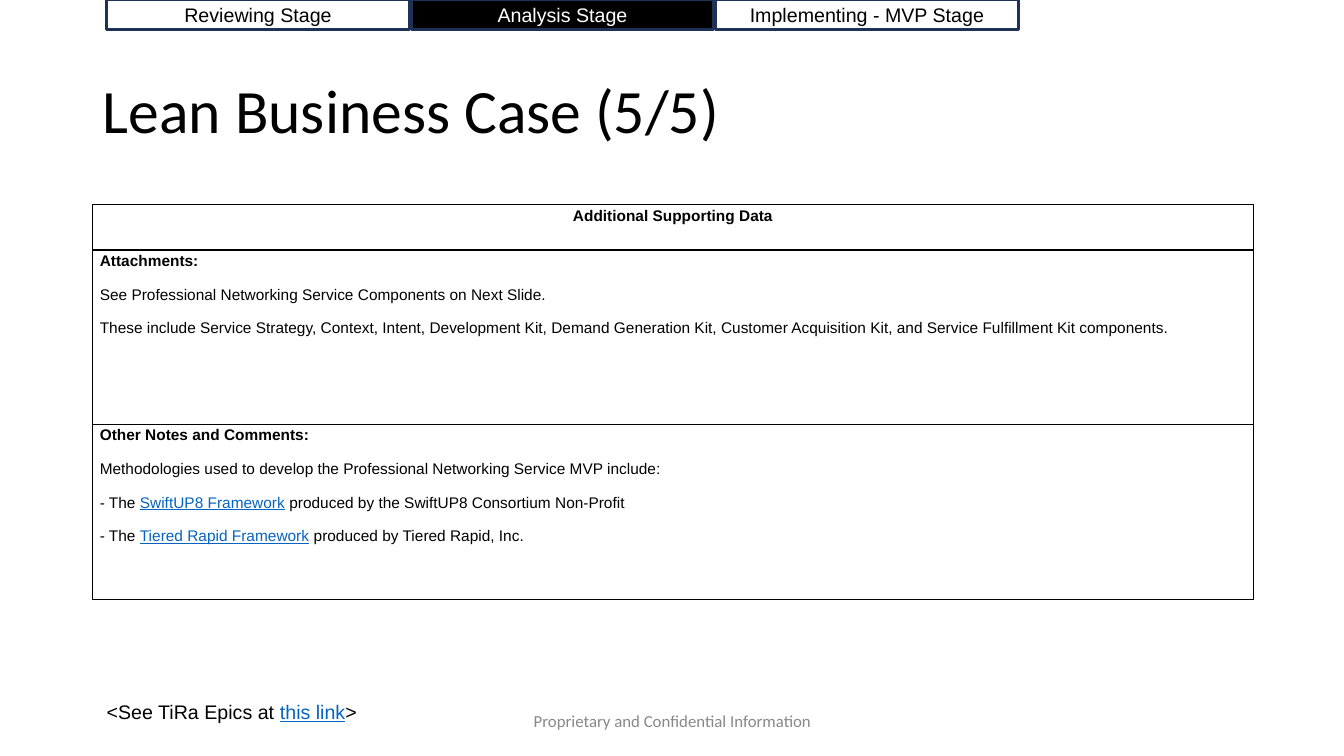
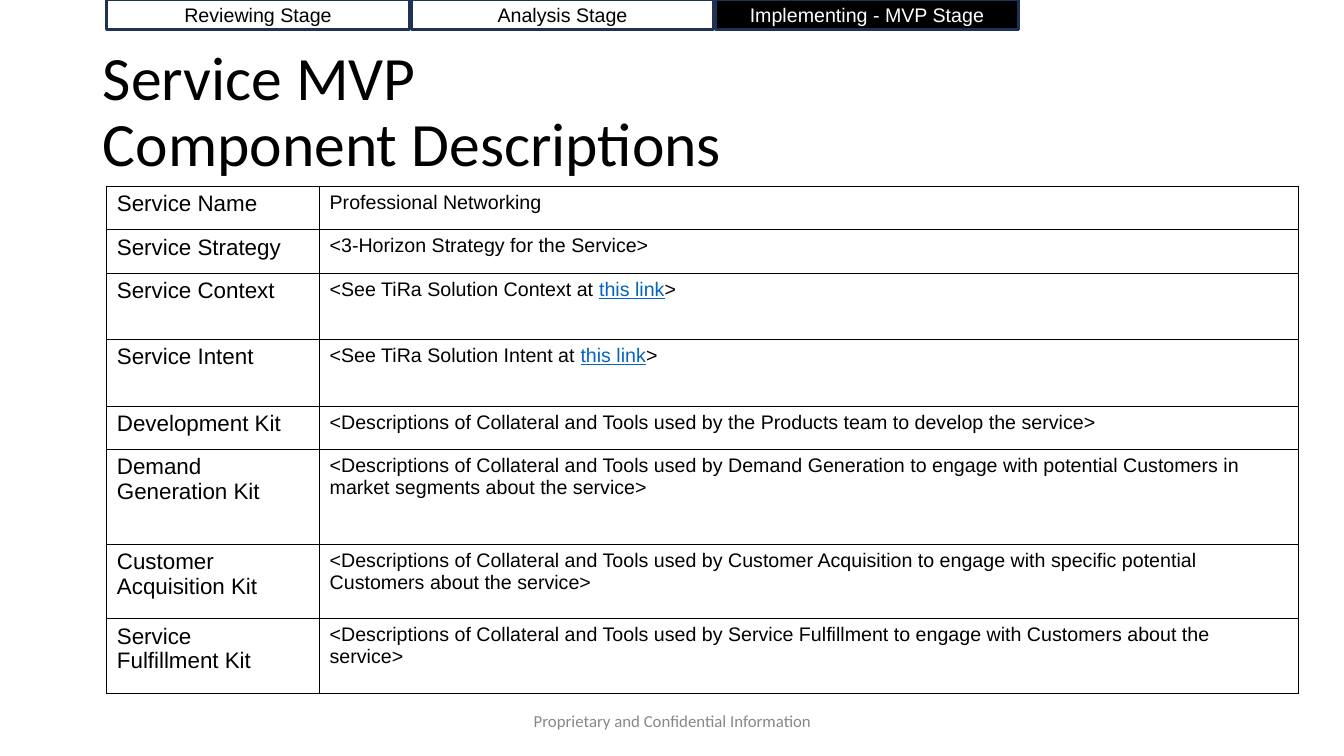
from dataclasses import dataclass

from lxml.etree import SubElement
from pptx import Presentation
from pptx.dml.color import RGBColor
from pptx.enum.shapes import MSO_SHAPE
from pptx.enum.text import MSO_ANCHOR, MSO_AUTO_SIZE, PP_ALIGN
from pptx.oxml import parse_xml
from pptx.oxml.ns import nsdecls, qn
from pptx.util import Emu, Pt

EMU_PER_PX = 9144  # 100 px to the inch
TITLE_ONLY = 5


@dataclass(frozen=True)
class Theme:
    body_font: str = "Arial"
    title_font: str = "Calibri"
    ink: str = "000000"
    paper: str = "FFFFFF"
    stage_line: str = "1E3256"
    link: str = "0563C1"
    footer: str = "888888"
    title_size: int = 44
    label_size: int = 16
    text_size: int = 14
    footer_size: int = 12
    note_size: int = 11


@dataclass(frozen=True)
class Box:
    left: int
    top: int
    width: int
    height: int

    def emu(self):
        return [px(n) for n in (self.left, self.top, self.width, self.height)]


THEME = Theme()
PAGE = Box(0, 0, 1333, 750)
STAGE_BAR = Box(106, 0, 904, 29)
STAGE_GAP = 2
TITLE = Box(92, 40, 979, 145)
FOOTER = Box(442, 695, 450, 40)
STAGES = ["Reviewing Stage", "Analysis Stage", "Implementing - MVP Stage"]

# Text between bars is shown as a link
SUPPORTING_DATA = [
    (45, ["Additional Supporting Data"]),
    (173, [
        "Attachments:",
        "See Professional Networking Service Components on Next Slide.",
        "These include Service Strategy, Context, Intent, Development Kit, Demand Generation Kit, "
        "Customer Acquisition Kit, and Service Fulfillment Kit components.",
    ]),
    (174, [
        "Other Notes and Comments:",
        "Methodologies used to develop the Professional Networking Service MVP include:",
        "- The |SwiftUP8 Framework| produced by the SwiftUP8 Consortium Non-Profit",
        "- The |Tiered Rapid Framework| produced by Tiered Rapid, Inc.",
    ]),
]
KIT_USE = "<Descriptions of Collateral and Tools used by "
COMPONENTS = [
    (43, "Service Name", "Professional Networking"),
    (43, "Service Strategy", "<3-Horizon Strategy for the Service>"),
    (66, "Service Context", "<See TiRa Solution Context at |this link|>"),
    (66, "Service Intent", "<See TiRa Solution Intent at |this link|>"),
    (43, "Development Kit", KIT_USE + "the Products team to develop the service>"),
    (94, "Demand \vGeneration Kit", KIT_USE + "Demand Generation to engage with potential "
     "Customers in market segments about the service>"),
    (74, "Customer \vAcquisition Kit", KIT_USE + "Customer Acquisition to engage with specific "
     "potential Customers about the service>"),
    (74, "Service \vFulfillment Kit", KIT_USE + "Service Fulfillment to engage with Customers "
     "about the service>"),
]


def px(length):
    return Emu(length * EMU_PER_PX)


def rgb(value):
    return RGBColor.from_string(value)


def write(para, text, size, color=THEME.ink, font=THEME.body_font, bold=False,
          align=PP_ALIGN.LEFT):
    """Write one paragraph; every second part between bars is a link."""
    first, *rest = text.split("|")
    para.text = first
    para.alignment = align
    for part in rest:
        para.add_run().text = part
    for span in para.runs:
        span.font.name = font
        span.font.size = Pt(size)
        span.font.bold = bold
        span.font.color.rgb = rgb(color)
    for span in para.runs[1::2] if rest else []:
        span.font.color.rgb = rgb(THEME.link)
        span.font.underline = True
    for line_break in para._p.findall(qn("a:br")):
        SubElement(line_break, qn("a:rPr")).set("sz", str(size * 100))


def add_text(page, box, text, anchor=MSO_ANCHOR.TOP, **style):
    frame = page.shapes.add_textbox(*box.emu()).text_frame
    frame.word_wrap = True
    frame.vertical_anchor = anchor
    write(frame.paragraphs[0], text, **style)


def add_title(page, box, text):
    title = page.shapes.title
    title.left, title.top, title.width, title.height = box.emu()
    frame = title.text_frame
    frame.auto_size = MSO_AUTO_SIZE.NONE
    frame.vertical_anchor = MSO_ANCHOR.MIDDLE
    write(frame.paragraphs[0], text, THEME.title_size, font=THEME.title_font)
    frame.paragraphs[0].line_spacing = 0.9


def add_stage_bar(page, box, current):
    width = (box.width - STAGE_GAP * (len(STAGES) - 1)) // len(STAGES)
    for index, name in enumerate(STAGES):
        place = Box(box.left + index * (width + STAGE_GAP), box.top, width, box.height)
        stage = page.shapes.add_shape(MSO_SHAPE.RECTANGLE, *place.emu())
        fill, ink = (THEME.ink, THEME.paper) if index == current else (THEME.paper, THEME.ink)
        stage.shadow.inherit = False
        stage.fill.solid()
        stage.fill.fore_color.rgb = rgb(fill)
        stage.line.color.rgb = rgb(THEME.stage_line)
        stage.line.width = Pt(2)
        stage.text_frame.vertical_anchor = MSO_ANCHOR.MIDDLE
        write(stage.text_frame.paragraphs[0], name, THEME.text_size, ink,
              align=PP_ALIGN.CENTER)


def add_grid(page, box, columns, rows):
    """Add a plain table with thin black borders on every cell."""
    table = page.shapes.add_table(len(rows), len(columns), *box.emu()).table
    table.first_row = table.horz_banding = False
    for column, width in zip(table.columns, columns):
        column.width = px(width)
    for row, height in zip(table.rows, rows):
        row.height = px(height)
    for cell in table.iter_cells():
        cell.fill.background()
        properties = cell._tc.get_or_add_tcPr()
        for position, side in enumerate("LRTB"):
            properties.insert(position, parse_xml(
                f'<a:ln{side} {nsdecls("a")} w="{Pt(1)}"><a:solidFill>'
                f'<a:srgbClr val="{THEME.ink}"/></a:solidFill></a:ln{side}>'))
    return table


def add_supporting_table(page, box):
    table = add_grid(page, box, [box.width], [height for height, _ in SUPPORTING_DATA])
    for index, (_, lines) in enumerate(SUPPORTING_DATA):
        cell = table.cell(index, 0)
        cell.margin_left = cell.margin_right = px(7)
        cell.margin_top = cell.margin_bottom = 0
        frame = cell.text_frame
        for number, line in enumerate(lines):
            para = frame.add_paragraph() if number else frame.paragraphs[0]
            write(para, line, THEME.note_size, bold=number == 0,
                  align=PP_ALIGN.LEFT if index else PP_ALIGN.CENTER)
            para.line_spacing = 1.15
            para.space_after = Pt(10 if index else 0)


def add_component_table(page, box):
    label_width = 211
    table = add_grid(page, box, [label_width, box.width - label_width],
                     [height for height, _, _ in COMPONENTS])
    for index, (_, label, description) in enumerate(COMPONENTS):
        for column, text, size in ((0, label, THEME.label_size),
                                   (1, description, THEME.text_size)):
            write(table.cell(index, column).text_frame.paragraphs[0], text, size)


def add_page(deck, title, stage):
    """Add a page with the title, stage bar and footer."""
    page = deck.slides.add_slide(deck.slide_layouts[TITLE_ONLY])
    add_title(page, TITLE, title)
    add_stage_bar(page, STAGE_BAR, stage)
    add_text(page, FOOTER, "Proprietary and Confidential Information", MSO_ANCHOR.MIDDLE,
             size=THEME.footer_size, color=THEME.footer, font=THEME.title_font,
             align=PP_ALIGN.CENTER)
    return page


def main():
    deck = Presentation()
    deck.slide_width, deck.slide_height = px(PAGE.width), px(PAGE.height)

    # Supporting data
    page = add_page(deck, "Lean Business Case (5/5)", stage=1)
    add_supporting_table(page, Box(92, 203, 1151, 392))
    add_text(page, Box(96, 689, 667, 34), "<See TiRa Epics at |this link|>",
             size=THEME.text_size)

    # Component descriptions
    page = add_page(deck, "Service MVP \vComponent Descriptions", stage=2)
    add_component_table(page, Box(106, 185, 1182, 503))

    deck.save("out.pptx")


if __name__ == "__main__":
    main()
